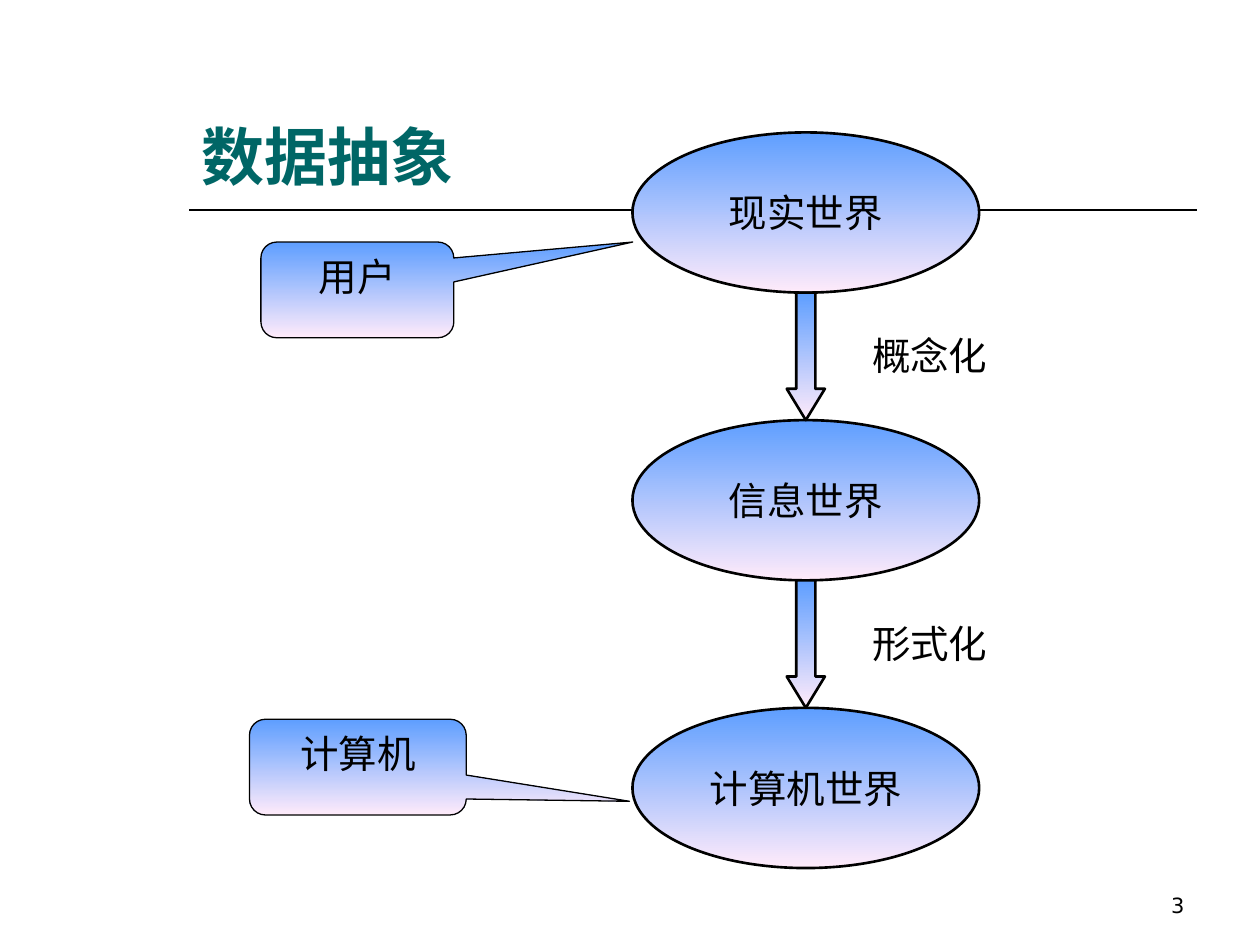
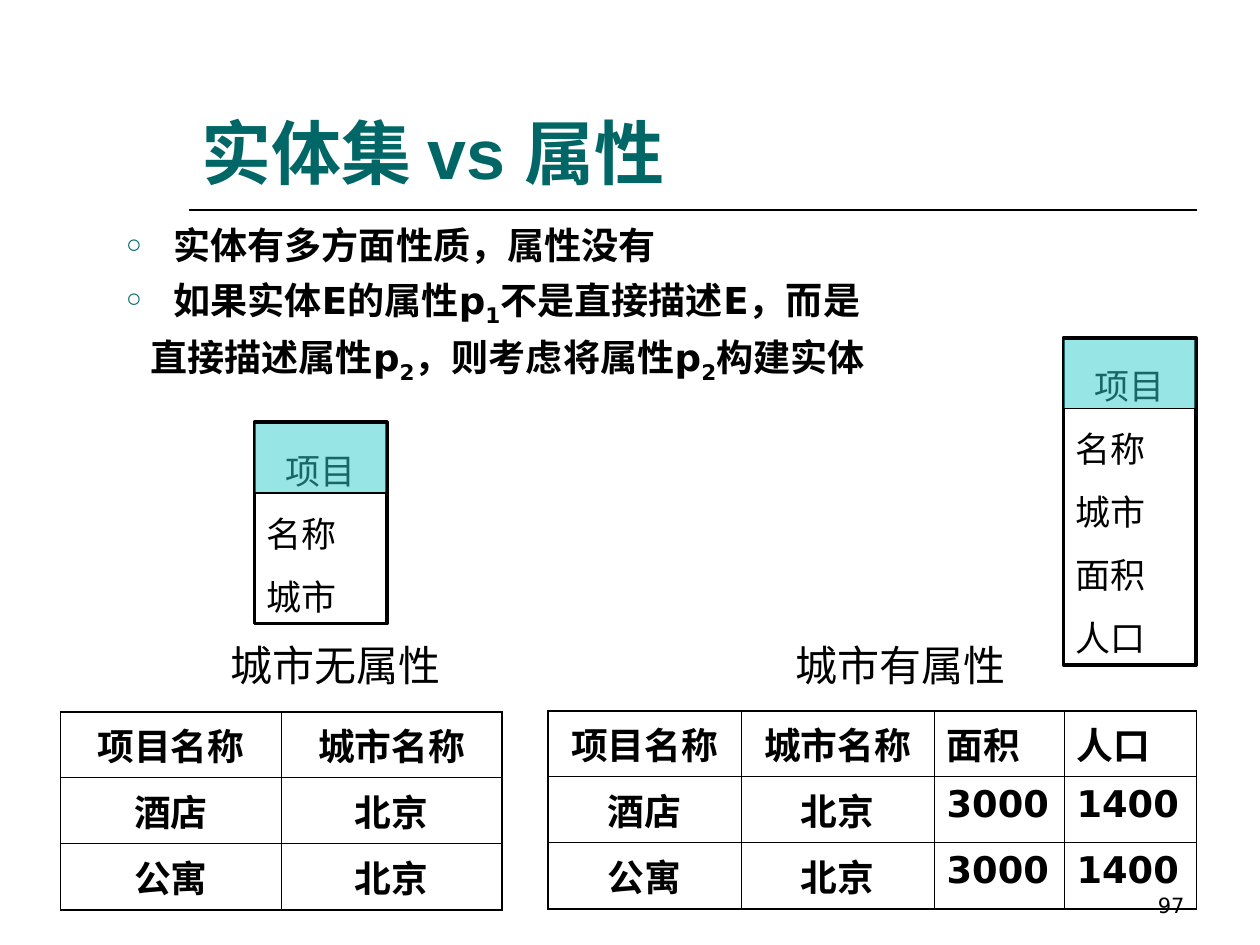
from pptx import Presentation
from pptx.dml.color import RGBColor
from pptx.enum.shapes import MSO_CONNECTOR, MSO_SHAPE
from pptx.enum.text import MSO_ANCHOR, MSO_AUTO_SIZE, PP_ALIGN
from pptx.oxml.ns import qn
from pptx.util import Cm, Pt
from lxml import etree

BLACK = RGBColor(0x00, 0x00, 0x00)
TEAL = RGBColor(0x00, 0x66, 0x66)
AQUA = RGBColor(0x33, 0xCC, 0xCC)
BLUE = RGBColor(0x5E, 0x9E, 0xFF)
PINK = RGBColor(0xFF, 0xEB, 0xFA)

LEFT, CENTER, RIGHT = PP_ALIGN.LEFT, PP_ALIGN.CENTER, PP_ALIGN.RIGHT
TOP, MIDDLE, BOTTOM = MSO_ANCHOR.TOP, MSO_ANCHOR.MIDDLE, MSO_ANCHOR.BOTTOM
RECT, OVAL = MSO_SHAPE.RECTANGLE, MSO_SHAPE.OVAL
DOWN_ARROW = MSO_SHAPE.DOWN_ARROW
CALLOUT = MSO_SHAPE.ROUNDED_RECTANGULAR_CALLOUT

SANS, ARIAL, CABIN = "DejaVu Sans", "Arial", "Cabin"
SERIF, CJK = "Times New Roman", "Noto Sans CJK SC"

WORLDS = ["现实世界", "信息世界", "计算机世界"]
STEPS = ["概念化", "形式化"]
ACTORS = [
    ("用户", 5.26, 4.88, 3.89, (1.427, -0.5, 0.167)),
    ("计算机", 5.03, 14.5, 4.37, (1.253, 0.357, 0.167)),
]

POINTS = [
    ["实体有多方面性质，属性没有"],
    ["如果实体E的属性p", "1", "不是直接描述E，而是"],
    ["直接描述属性p", "2", "，则考虑将属性p", "2", "构建实体"],
]
ENTITIES = [
    (5.13, 8.51, 4.06, ["项目", "名称", "城市"]),
    (21.44, 6.81, 6.6, ["项目", "名称", "城市", "面积", "人口"]),
]
CAPTIONS = [("城市无属性", 3.56), ("城市有属性", 14.96)]
TABLES = [
    (1.22, 14.35, [4.45, 4.45],
     [["项目名称", "城市名称"], ["酒店", "北京"], ["公寓", "北京"]]),
    (11.05, 14.33, [3.89, 3.89, 2.62, 2.67],
     [["项目名称", "城市名称", "面积", "人口"],
      ["酒店", "北京", "3000", "1400"],
      ["公寓", "北京", "3000", "1400"]]),
]


def put_text(tf, paras, size, font, color=BLACK, bold=False, align=LEFT,
             anchor=TOP, spacing=None, before=0, wrap=True, inset=None):
    tf.word_wrap = wrap
    tf.auto_size = MSO_AUTO_SIZE.NONE
    tf.vertical_anchor = anchor
    if inset is not None:
        tf.margin_left = tf.margin_right = Cm(inset)
        tf.margin_top = tf.margin_bottom = Cm(inset)
    for i, runs in enumerate(paras):
        p = tf.add_paragraph() if i else tf.paragraphs[0]
        p.alignment = align
        p.space_before = Pt(before if i else 0)
        if spacing:
            p.line_spacing = spacing
        for j, text in enumerate([runs] if isinstance(runs, str) else runs):
            r = p.add_run()
            r.text = text
            f = r.font
            f.size, f.name, f.bold, f.color.rgb = Pt(size), font, bold, color
            rPr = r._r.get_or_add_rPr()
            etree.SubElement(rPr, qn("a:ea")).set("typeface", CJK)
            if j % 2:
                rPr.set("baseline", "-25000")


def add_box(s, paras, x, y, w, h, **fmt):
    box = s.shapes.add_textbox(Cm(x), Cm(y), Cm(w), Cm(h))
    put_text(box.text_frame, paras, **fmt)


def add_shape(s, kind, x, y, w, h, line, adjust=()):
    sp = s.shapes.add_shape(kind, Cm(x), Cm(y), Cm(w), Cm(h))
    sp.shadow.inherit = False
    sp.line.color.rgb = BLACK
    sp.line.width = Pt(line)
    for i, value in enumerate(adjust):
        sp.adjustments[i] = value
    sp.fill.background()
    return sp


def add_gradient_shape(*args, **kwargs):
    sp = add_shape(*args, **kwargs)
    sp.fill.gradient()
    sp.fill.gradient_angle = 270
    for stop, color in zip(sp.fill.gradient_stops, (BLUE, PINK)):
        stop.color.rgb = color
    return sp


def place(sp, x, y, w, h):
    sp.left, sp.top, sp.width, sp.height = Cm(x), Cm(y), Cm(w), Cm(h)


def add_slide(prs, layout, title, size, number):
    s = prs.slides.add_slide(prs.slide_layouts[layout])
    rule = s.shapes.add_connector(MSO_CONNECTOR.STRAIGHT, Cm(3.81), Cm(4.24), Cm(24.13), Cm(4.24))
    rule.line.color.rgb = BLACK
    rule.line.width = Pt(1)
    etree.SubElement(rule._element.spPr, qn("a:effectLst"))
    place(s.shapes.title, 3.81, 0.84, 20.32, 3.18)
    put_text(s.shapes.title.text_frame, [title], size=size, font=ARIAL,
             color=TEAL, bold=True, anchor=BOTTOM)
    add_box(s, [number], 18.21, 17.35, 5.92, 1.27, size=12, font=SANS,
            align=RIGHT, anchor=BOTTOM)
    return s


def set_bullet(p, left, hanging=0):
    pPr = p._p.get_or_add_pPr()
    pPr.set("marL", str(Cm(left)))
    pPr.set("indent", str(-Cm(hanging)))
    if not hanging:
        etree.SubElement(pPr, qn("a:buNone"))
        return
    color = etree.SubElement(pPr, qn("a:buClr"))
    etree.SubElement(color, qn("a:srgbClr")).set("val", str(TEAL))
    etree.SubElement(pPr, qn("a:buSzPct")).set("val", "70000")
    etree.SubElement(pPr, qn("a:buChar")).set("char", "○")


def set_borders(cell, outer):
    tcPr = cell._tc.get_or_add_tcPr()
    for i, side in enumerate(("L", "R", "T", "B")):
        ln = etree.Element(qn(f"a:ln{side}"), w=str(Pt(1.08 if outer[side] else 0.45)))
        fill = etree.SubElement(ln, qn("a:solidFill"))
        etree.SubElement(fill, qn("a:srgbClr")).set("val", str(BLACK))
        tcPr.insert(i, ln)


def add_grid(s, x, y, widths, rows):
    row_h = 1.33
    last_row, last_col = len(rows) - 1, len(widths) - 1
    table = s.shapes.add_table(len(rows), len(widths), Cm(x), Cm(y),
                               Cm(sum(widths)), Cm(row_h * len(rows))).table
    table.first_row = table.horz_banding = False
    for col, w in zip(table.columns, widths):
        col.width = Cm(w)
    for i, row in enumerate(rows):
        table.rows[i].height = Cm(row_h)
        for j, text in enumerate(row):
            cell = table.cell(i, j)
            cell.fill.background()
            put_text(cell.text_frame, [text], size=21, font=SANS, bold=True,
                     align=CENTER if j < 2 else LEFT)
            set_borders(cell, {"L": j == 0, "R": j == last_col,
                               "T": i == 0, "B": i == last_row})


def build_abstraction(prs):
    s = add_slide(prs, 5, "数据抽象", 36, "3")
    x, top, w, h, pitch = 12.75, 2.67, 6.99, 3.23, 5.8
    arrow_w = 0.77
    for i, world in enumerate(WORLDS):
        sp = add_gradient_shape(s, OVAL, x, top + i * pitch, w, h, 1.5)
        put_text(sp.text_frame, [world], size=22, font=CJK, align=CENTER, anchor=MIDDLE)
    for i, step in enumerate(STEPS):
        y = top + i * pitch + h
        add_gradient_shape(s, DOWN_ARROW, x + (w - arrow_w) / 2, y,
                           arrow_w, pitch - h, 1.5, adjust=(0.5, 0.82))
        add_box(s, [step], 17.58, y + 0.8, 2.34, 0.94, size=22, font=CJK,
                wrap=False, inset=0)
    for actor, left, y, width, adjust in ACTORS:
        sp = add_gradient_shape(s, CALLOUT, left, y, width, 1.93, 0.75, adjust=adjust)
        put_text(sp.text_frame, [actor], size=22, font=SERIF, align=CENTER)


def build_comparison(prs):
    s = add_slide(prs, 1, "实体集 vs 属性", 40, "97")
    body = s.placeholders[1]
    place(body, 2.29, 4.45, 21.84, 3.78)
    put_text(body.text_frame, POINTS, size=21.2, font=SANS, bold=True,
             spacing=0.9, before=6.2)
    first, second, continued = body.text_frame.paragraphs
    set_bullet(first, 0.95, 0.95)
    set_bullet(second, 0.95, 0.95)
    set_bullet(continued, 0.48)
    for grid in TABLES:
        add_grid(s, *grid)
    for caption, x in CAPTIONS:
        add_box(s, [caption], x, 12.88, 6.4, 1.17, size=24, font=CABIN,
                align=CENTER, spacing=0.9)
    for x, y, h, names in ENTITIES:
        sp = add_shape(s, RECT, x, y, 2.67, h, 2)
        put_text(sp.text_frame, names, size=20, font=SERIF, spacing=Pt(36))
        sp.text_frame.paragraphs[0].alignment = CENTER
        header = add_shape(s, RECT, x, y + 0.03, 2.67, 1.4, 0.75)
        header.fill.solid()
        header.fill.fore_color.rgb = AQUA
        color = header._element.spPr.find(qn("a:solidFill")).find(qn("a:srgbClr"))
        etree.SubElement(color, qn("a:alpha")).set("val", "50000")


def main():
    prs = Presentation()
    prs.slide_width, prs.slide_height = Cm(25.4), Cm(19.05)
    build_abstraction(prs)
    build_comparison(prs)
    prs.save("out.pptx")


if __name__ == "__main__":
    main()
